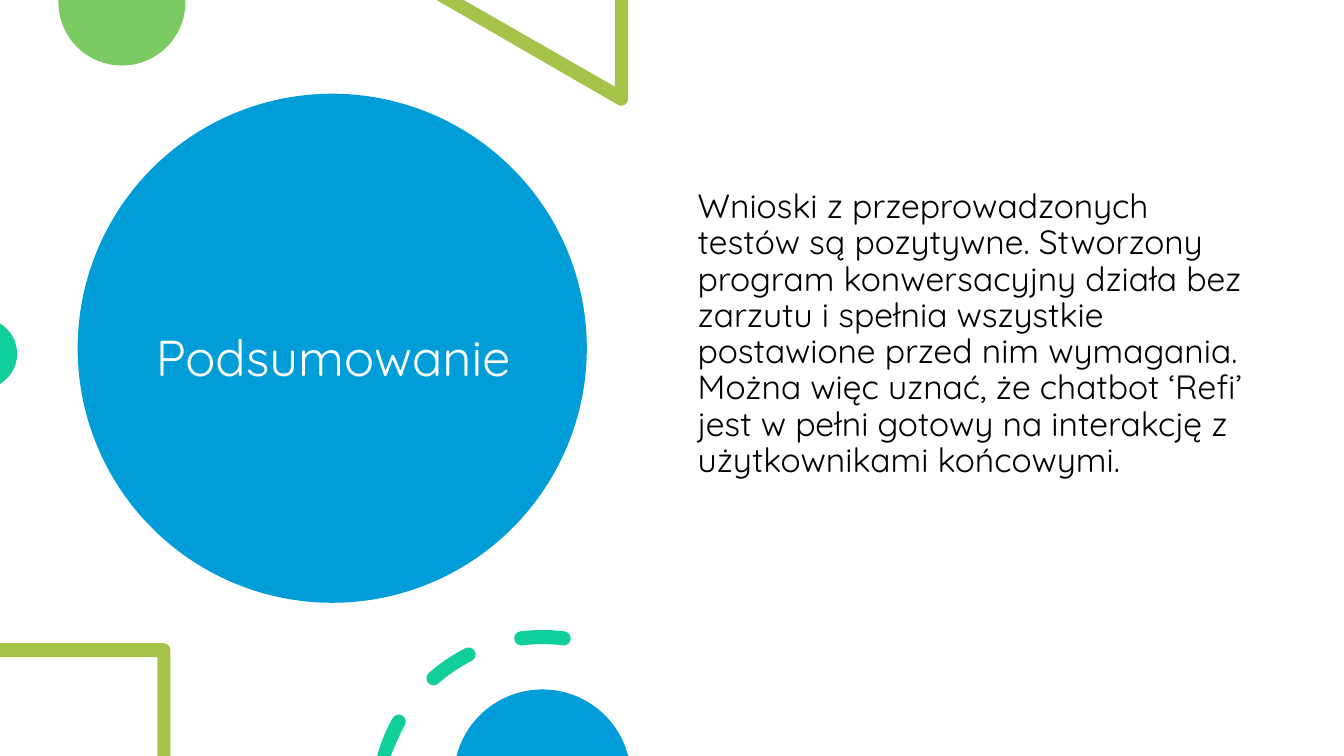
from dataclasses import dataclass
from math import ceil, cos, radians, sin, tan

from lxml import etree
from pptx import Presentation
from pptx import util as u
from pptx.dml.color import RGBColor
from pptx.enum import shapes, text
from pptx.oxml.ns import qn

BLUE = RGBColor(0x00, 0x9D, 0xD9)
GREEN = RGBColor(0x7C, 0xCA, 0x62)
OLIVE = RGBColor(0xA5, 0xC2, 0x49)
TEAL = RGBColor(0x10, 0xCF, 0x9B)
WHITE = RGBColor(0xFF, 0xFF, 0xFF)
BLACK = RGBColor(0x00, 0x00, 0x00)
FONT = "Quicksand"
WIDE, HIGH = 13.33, 7.5

Point = tuple[float, float]


@dataclass(frozen=True)
class Step:
    points: list[Point]


@dataclass(frozen=True)
class Form:
    color: RGBColor
    loops: list[list[Step]]


def lines(*points: Point) -> list[Step]:
    return [Step([point]) for point in points]


def arc(x: float, y: float, r: float, start: float, end: float) -> list[Step]:
    count = ceil(abs(end - start) / 90)
    turn = radians((end - start) / count)
    pull = 4 / 3 * tan(turn / 4)
    steps = []
    for i in range(count):
        a = radians(start) + i * turn
        b = a + turn
        steps.append(Step([
            (x + r * (cos(a) - pull * sin(a)), y - r * (sin(a) + pull * cos(a))),
            (x + r * (cos(b) + pull * sin(b)), y - r * (sin(b) - pull * cos(b))),
            (x + r * cos(b), y - r * sin(b))]))
    return steps


def dash(start: float, end: float, cut: bool = False) -> list[Step]:
    x, y, mid, half = 5.38, 7.95, 1.63, 0.07

    def spot(r: float, turn: float) -> Point:
        return x + r * cos(radians(turn)), y - r * sin(radians(turn))

    far, near = mid + half, mid - half
    tip = lines(spot(near, end)) if cut else arc(*spot(mid, end), half, end, end + 180)
    return (lines(spot(far, start)) + arc(x, y, far, start, end) + tip
            + arc(x, y, near, end, start)
            + arc(*spot(mid, start), half, start + 180, start + 360))


def paint(shape, color: RGBColor) -> None:
    shape.shadow.inherit = False
    shape.fill.solid()
    shape.fill.fore_color.rgb = color
    shape.line.fill.background()


def clip(point: Point) -> Point:
    x, y = point
    return u.Inches(min(max(x, 0), WIDE)), u.Inches(min(max(y, 0), HIGH))


def draw(slide, form: Form) -> None:
    pen = slide.shapes.build_freeform(*clip(form.loops[0][0].points[0]))
    for i, loop in enumerate(form.loops):
        if i:
            pen.move_to(*clip(loop[0].points[0]))
        pen.add_line_segments([clip(p) for step in loop[1:] for p in step.points],
                              close=True)
    shape = pen.convert_to_shape()
    paint(shape, form.color)
    nodes = iter(list(shape.element.iter(qn("a:lnTo"))))
    for loop in form.loops:
        for step in loop[1:]:
            group = [next(nodes) for _ in step.points]
            if len(group) == 3:
                curve = etree.Element(qn("a:cubicBezTo"))
                group[0].addprevious(curve)
                for node in group:
                    curve.append(node[0])
                    node.getparent().remove(node)


def add(slide, kind, box: tuple[float, ...], color: RGBColor):
    shape = slide.shapes.add_shape(kind, *map(u.Inches, box))
    paint(shape, color)
    return shape


def write(holder, box: tuple[float, ...], words: str, size: int, color: RGBColor,
          align, anchor) -> None:
    holder.left, holder.top, holder.width, holder.height = map(u.Inches, box)
    frame = holder.text_frame
    frame.text = words
    frame.word_wrap = True
    frame.auto_size = text.MSO_AUTO_SIZE.NONE
    frame.vertical_anchor = anchor
    para = frame.paragraphs[0]
    props = para._p.get_or_add_pPr()
    props.set("marL", "0")
    props.set("indent", "0")
    etree.SubElement(props, qn("a:buNone"))
    para.alignment = align
    para.line_spacing = 0.9
    para.space_before = u.Pt(0)
    para.font.name = FONT
    para.font.size = u.Pt(size)
    para.font.color.rgb = color


ABOVE = [
    Form(GREEN, [lines((1.84, 0), (0.58, 0), (0.58, 0.02))
                 + arc(1.21, 0.02, 0.63, 180, 360)]),
    Form(OLIVE, [lines((6.23, 0), (6.1, 0), (6.1, 0.86), (4.6, 0), (4.33, 0), (6.13, 1.04))
                 + arc(6.16, 0.98, 0.07, -120, 0)]),
    Form(TEAL, [lines((0, 3.21), (0, 3.81)) + arc(-0.18, 3.51, 0.35, -59, 59)]),
]
BELOW = [
    Form(OLIVE, [lines((0, 6.38), (0, 6.52), (1.56, 6.52), (1.56, 7.5), (1.69, 7.5),
                       (1.69, 6.45)) + arc(1.62, 6.45, 0.07, 0, 90)]),
    Form(TEAL, [dash(151, 164.6, True), dash(116.7, 131.5), dash(82.6, 97.4)]),
    Form(BLUE, [lines((4.52, 7.5), (6.23, 7.5)) + arc(5.38, 7.72, 0.88, 14.5, 165.5)]),
]


def main() -> None:
    deck = Presentation()
    deck.slide_width, deck.slide_height = u.Inches(WIDE), u.Inches(HIGH)
    slide = deck.slides.add_slide(deck.slide_layouts[1])
    title, body = slide.placeholders
    tree = title.element.getparent()
    add(slide, shapes.MSO_SHAPE.RECTANGLE, (0, 0, WIDE, HIGH), WHITE)
    add(slide, shapes.MSO_SHAPE.OVAL, (0.77, 0.93, 5.05, 5.05), BLUE)
    tree.append(title.element)
    write(title, (1.02, 1.35, 4.57, 4.45), "Podsumowanie", 36, WHITE,
          text.PP_ALIGN.CENTER, text.MSO_ANCHOR.MIDDLE)
    for form in ABOVE:
        draw(slide, form)
    tree.append(body.element)
    write(body, (6.82, 1.83, 5.75, 5.35),
          "Wnioski z przeprowadzonych testów są pozytywne. Stworzony program "
          "konwersacyjny działa bez zarzutu i spełnia wszystkie postawione przed nim "
          "wymagania. Można więc uznać, że chatbot ‘Refi’ jest w pełni gotowy na "
          "interakcję z użytkownikami końcowymi.", 24, BLACK,
          text.PP_ALIGN.LEFT, text.MSO_ANCHOR.TOP)
    for form in BELOW:
        draw(slide, form)
    deck.save("out.pptx")


if __name__ == "__main__":
    main()
